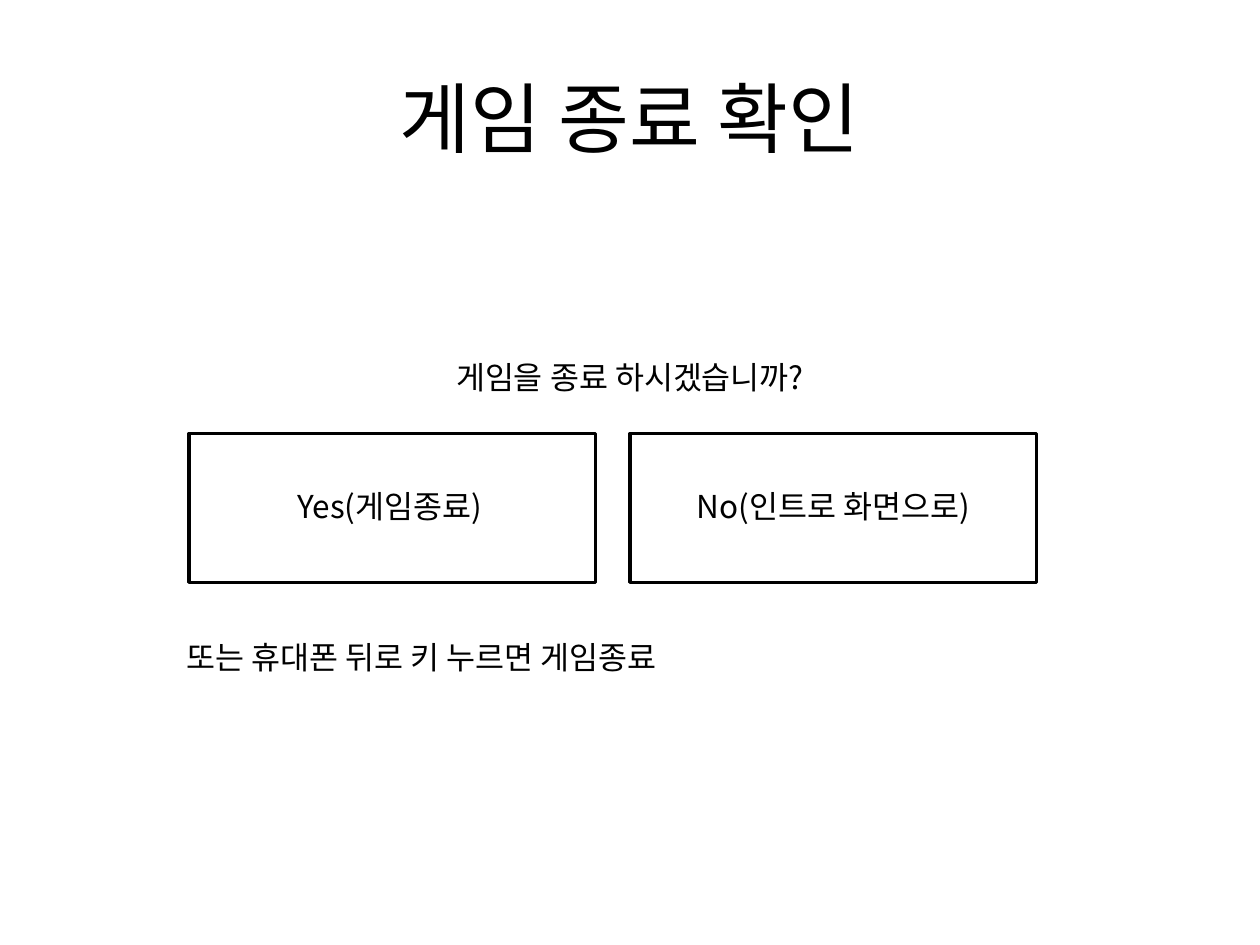
from lxml.etree import SubElement
from pptx import Presentation
from pptx.dml.color import RGBColor
from pptx.enum.shapes import MSO_SHAPE
from pptx.enum.text import MSO_ANCHOR, MSO_AUTO_SIZE, PP_ALIGN
from pptx.oxml.ns import qn
from pptx.util import Cm, Pt

FONT = "Noto Sans CJK KR"


def color(hex_string):
    return RGBColor.from_string(hex_string)


def add_text(slide, text, left, top, width, height, size=18,
             align=PP_ALIGN.CENTER, anchor=MSO_ANCHOR.TOP,
             auto_size=MSO_AUTO_SIZE.SHAPE_TO_FIT_TEXT):
    """Add a one-line text box; its position and size are in centimetres."""
    box = slide.shapes.add_textbox(Cm(left), Cm(top), Cm(width), Cm(height))
    frame = box.text_frame
    frame.word_wrap = True
    frame.auto_size = auto_size
    frame.vertical_anchor = anchor
    paragraph = frame.paragraphs[0]
    paragraph.alignment = align
    run = paragraph.add_run()
    run.text = text
    run.font.size = Pt(size)
    run.font.name = FONT
    run.font.color.rgb = color("000000")
    # Korean letters take the East Asian font
    SubElement(run.font._element, qn("a:ea"), typeface=FONT)


presentation = Presentation()
presentation.slide_width = Cm(25.4)
presentation.slide_height = Cm(19.05)
slide = presentation.slides.add_slide(presentation.slide_layouts[6])

add_text(slide, "게임 종료 확인", 1.27, 0.76, 22.86, 3.18, size=44,
         anchor=MSO_ANCHOR.MIDDLE, auto_size=MSO_AUTO_SIZE.NONE)
add_text(slide, "게임을 종료 하시겠습니까?", 0, 7.09, 25.4, 1.02)

button_width = 8.2
buttons = [
    ("Yes(게임종료)", 3.81, 3.76),
    ("No(인트로 화면으로)", 12.7, 12.7),
]
for label, button_left, label_left in buttons:
    button = slide.shapes.add_shape(
        MSO_SHAPE.RECTANGLE, Cm(button_left), Cm(8.74), Cm(button_width), Cm(3))
    button.shadow.inherit = False
    button.fill.solid()
    button.fill.fore_color.rgb = color("FFFFFF")
    button.line.color.rgb = color("000000")
    button.line.width = Pt(2)
    add_text(slide, label, label_left, 9.7, button_width, 1.02)

add_text(slide, "또는 휴대폰 뒤로 키 누르면 게임종료", 3.51, 12.73, 18.39, 1.02,
         align=PP_ALIGN.LEFT)

presentation.save("out.pptx")
